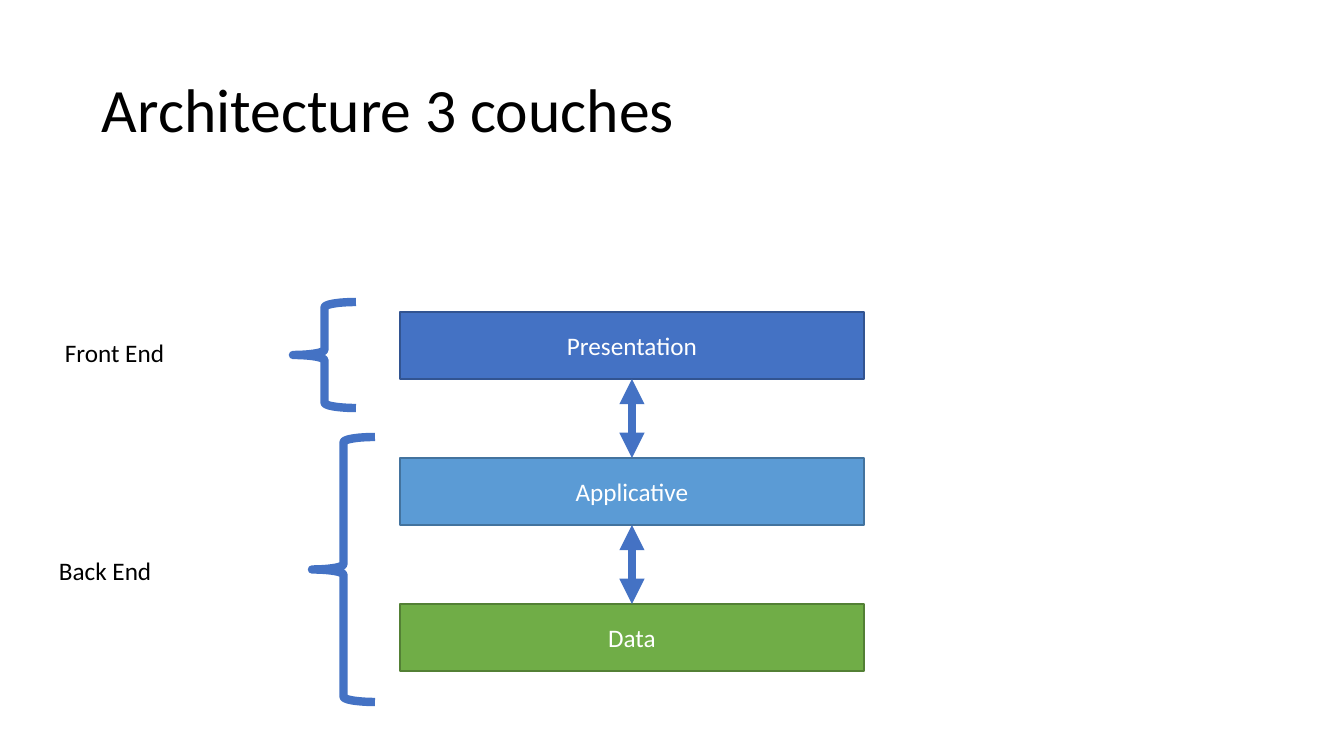
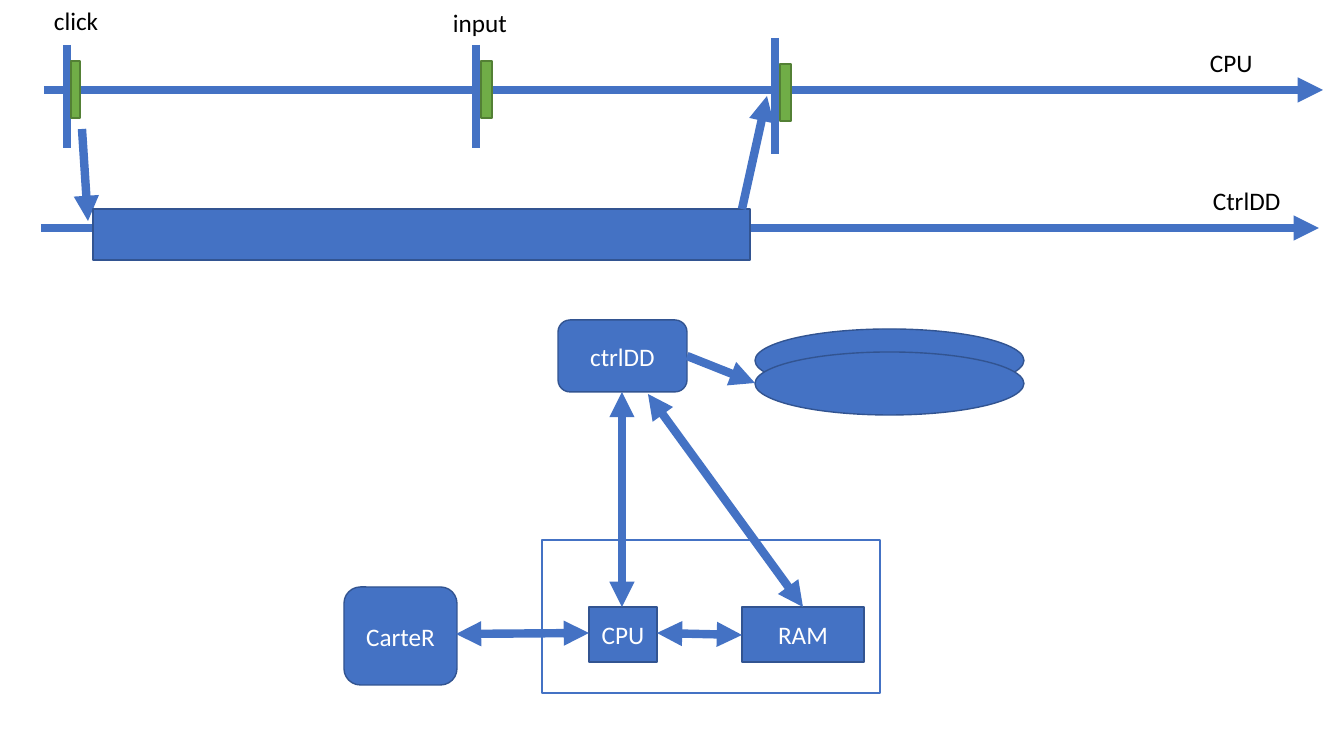
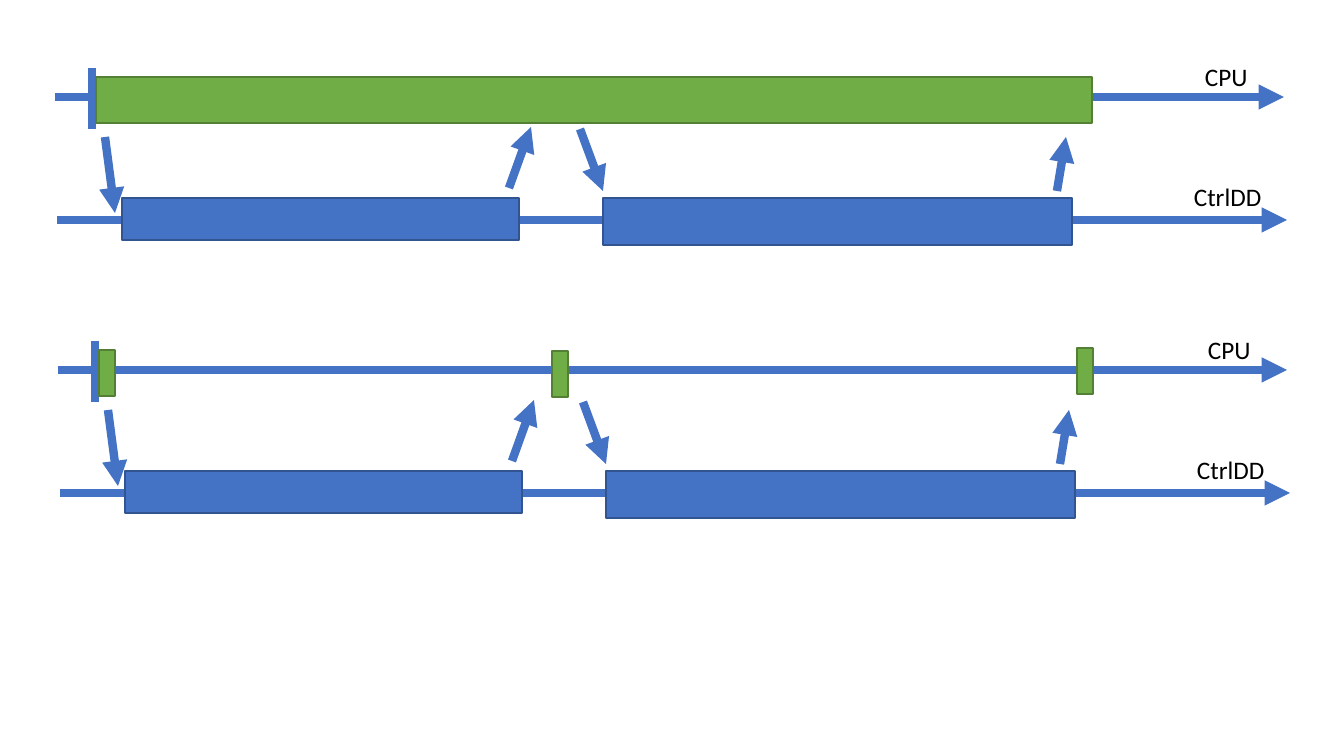
from lxml import etree
from pptx import Presentation
from pptx import util as u
from pptx.dml.color import RGBColor
from pptx.enum import shapes, text
from pptx.oxml.ns import qn

PX = 12192000 / 1344
FONT = "Calibri"
BLUE, SKY, GREEN = "4472C4", "5B9BD5", "70AD47"
WHITE, BLACK = "FFFFFF", "000000"
EDGES = {BLUE: "325491", SKY: "43739E", GREEN: "538035", WHITE: BLUE}
RECT = shapes.MSO_SHAPE.RECTANGLE
ROUND = shapes.MSO_SHAPE.ROUNDED_RECTANGLE
OVAL = shapes.MSO_SHAPE.OVAL
BRACE = shapes.MSO_SHAPE.LEFT_BRACE

TITLE = "Architecture 3 couches"
LAYERS = [("Presentation", BLUE), ("Applicative", SKY), ("Data", GREEN)]
LAYER_X, LAYER_Y, LAYER_W, LAYER_H, LAYER_STEP = 400, 312, 464, 67, 146
ENDS = [
    ("Back End", (49, 550, 114, 40), (312, 437, 63, 265)),
    ("Front End", (55, 332, 121, 40), (293, 302, 63, 106)),
]

EVENTS = [
    (67, 45, 148, (71, 61, 9, 57)),
    (476, 45, 148, (481, 61, 11, 57)),
    (775, 38, 154, (780, 64, 11, 57)),
]
EVENT_AXES = [(44, 90, 1323, 90), (41, 228, 1319, 228)]
EVENT_LABELS = [
    ("click", (44, 0, 66, 40)),
    ("input", (443, 2, 75, 40)),
    ("CPU", (1200, 42, 64, 40)),
    ("CtrlDD", (1203, 180, 89, 40)),
]
REQUEST, DISK_WORK, REPLY = (82, 129, 88, 221), (93, 209, 657, 51), (742, 209, 767, 96)
HARDWARE = [
    (RECT, (542, 540, 338, 153), WHITE, ""),
    (RECT, (589, 607, 68, 55), BLUE, "CPU"),
    (RECT, (742, 607, 122, 55), BLUE, "RAM"),
    (ROUND, (558, 320, 129, 72), BLUE, "ctrlDD"),
    (ROUND, (344, 587, 113, 98), BLUE, "CarteR"),
    (OVAL, (755, 329, 269, 63), BLUE, ""),
    (OVAL, (755, 352, 269, 63), BLUE, ""),
]
BUSES = [
    (657, 633, 742, 635),
    (622, 607, 622, 392),
    (589, 633, 456, 634),
    (648, 394, 803, 607),
]
DISK_ACCESS = (687, 356, 755, 383)

TIMELINE_AXES = [(55, 97, 1284, 97), (57, 220, 1287, 220)]
TIMELINE_START = (92, 68, 92, 129)
TIMELINE_LABELS = [("CPU", (1195, 56, 64, 40)), ("CtrlDD", (1184, 176, 89, 40))]
DISK_TASKS = [(122, 198, 397, 42), (603, 198, 469, 47)]
EXCHANGES = [
    (105, 137, 115, 213),
    (509, 188, 531, 127),
    (580, 129, 603, 191),
    (1057, 191, 1066, 137),
]
TIMELINES = [
    (0, 0, [(96, 77, 996, 46)]),
    (3, 273, [(96, 77, 16, 46), (549, 78, 16, 46), (1074, 75, 16, 46)]),
]


def emu(values):
    return [round(v * PX) for v in values]


def rgb(value):
    return RGBColor.from_string(value)


def style(p, size, color):
    p.font.name, p.font.size = FONT, u.Pt(size)
    p.font.color.rgb = rgb(color)


def label(slide, words, box, size=18):
    tf = slide.shapes.add_textbox(*emu(box)).text_frame
    tf.text = words
    style(tf.paragraphs[0], size, BLACK)
    return tf


def block(slide, box, fill=BLUE, words="", kind=RECT):
    s = slide.shapes.add_shape(kind, *emu(box))
    s.shadow.inherit = False
    s.fill.solid()
    s.fill.fore_color.rgb = rgb(fill)
    s.line.color.rgb = rgb(EDGES[fill])
    s.line.width = u.Pt(1)
    if words:
        tf = s.text_frame
        tf.text = words
        tf.vertical_anchor = text.MSO_ANCHOR.MIDDLE
        p = tf.paragraphs[0]
        p.alignment = text.PP_ALIGN.CENTER
        style(p, 18, WHITE)


def brace(slide, box):
    s = slide.shapes.add_shape(BRACE, *emu(box))
    s.shadow.inherit = False
    s.fill.background()
    s.line.color.rgb = rgb(BLUE)
    s.line.width = u.Pt(6)


def line(slide, ends, heads=()):
    c = slide.shapes.add_connector(shapes.MSO_CONNECTOR.STRAIGHT, *emu(ends))
    c.line.color.rgb = rgb(BLUE)
    c.line.width = u.Pt(6)
    for head in heads:
        etree.SubElement(c.line._ln, qn("a:" + head), type="triangle")
    etree.SubElement(c._element.spPr, qn("a:effectLst"))


def arrow(slide, ends):
    line(slide, ends, ["tailEnd"])


def double_arrow(slide, ends):
    line(slide, ends, ["headEnd", "tailEnd"])


def layers_slide(slide):
    tf = label(slide, TITLE, (92, 40, 1159, 146), 44)
    tf.word_wrap = True
    tf.vertical_anchor = text.MSO_ANCHOR.MIDDLE
    tf.paragraphs[0].line_spacing = 0.9
    middle = LAYER_X + LAYER_W // 2
    for i, (name, fill) in enumerate(LAYERS):
        top = LAYER_Y + i * LAYER_STEP
        block(slide, (LAYER_X, top, LAYER_W, LAYER_H), fill, name)
        if i:
            double_arrow(slide, (middle, top - LAYER_STEP + LAYER_H, middle, top))
    for name, box, brace_box in ENDS:
        label(slide, name, box)
        brace(slide, brace_box)


def events_slide(slide):
    for axis in EVENT_AXES:
        arrow(slide, axis)
    arrow(slide, REQUEST)
    block(slide, DISK_WORK)
    arrow(slide, REPLY)
    for x, top, bottom, task in EVENTS:
        line(slide, (x, top, x, bottom))
        block(slide, task, GREEN)
    for words, box in EVENT_LABELS:
        label(slide, words, box)
    for kind, box, fill, words in HARDWARE:
        block(slide, box, fill, words, kind)
    for bus in BUSES:
        double_arrow(slide, bus)
    arrow(slide, DISK_ACCESS)


def timelines_slide(slide):
    for dx, dy, cpu_tasks in TIMELINES:
        def move(box):
            return box[0] + dx, box[1] + dy, *box[2:]

        def move_line(ends):
            return [v + d for v, d in zip(ends, (dx, dy, dx, dy))]

        for axis in TIMELINE_AXES:
            arrow(slide, move_line(axis))
        line(slide, move_line(TIMELINE_START))
        for task in cpu_tasks:
            block(slide, move(task), GREEN)
        for exchange in EXCHANGES:
            arrow(slide, move_line(exchange))
        for task in DISK_TASKS:
            block(slide, move(task))
        for words, box in TIMELINE_LABELS:
            label(slide, words, move(box))


def main():
    prs = Presentation()
    prs.slide_width, prs.slide_height = emu((1344, 756))
    for build in (layers_slide, events_slide, timelines_slide):
        build(prs.slides.add_slide(prs.slide_layouts[6]))
    prs.save("out.pptx")


if __name__ == "__main__":
    main()
